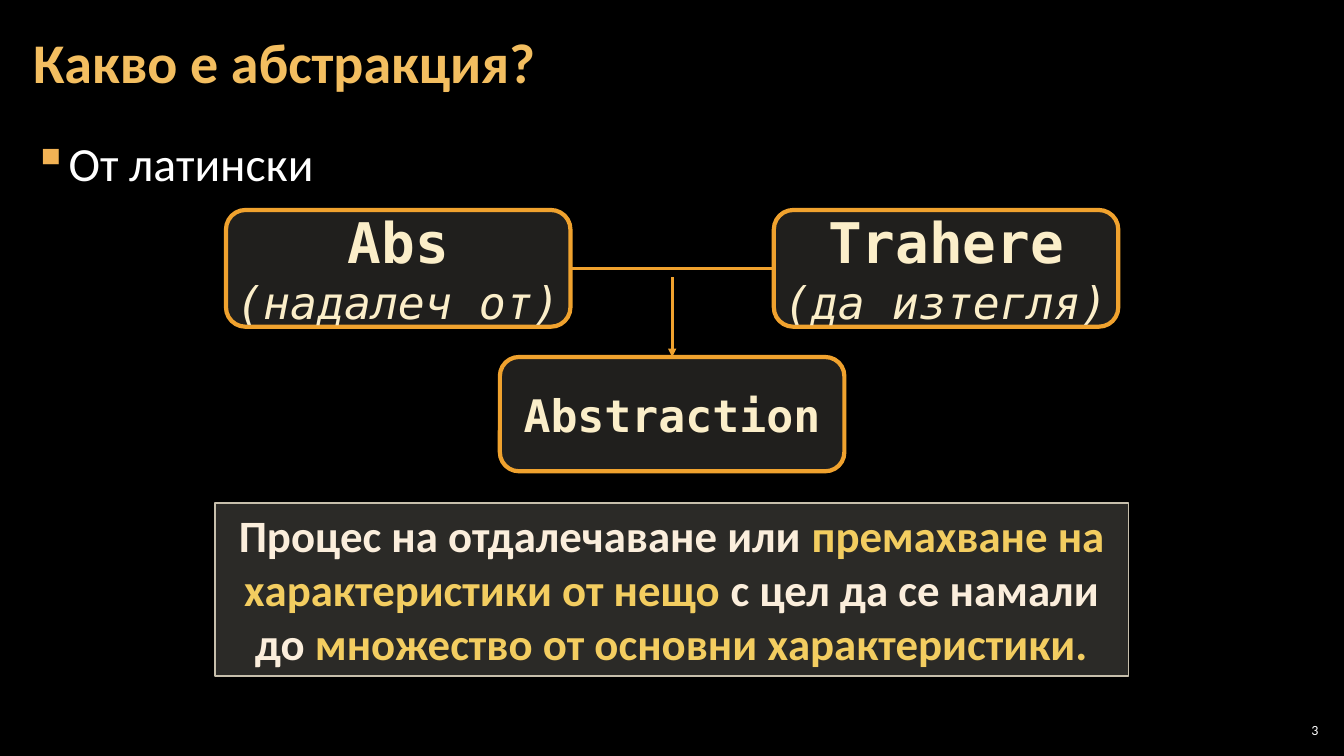
from lxml.etree import SubElement
from pptx import Presentation
from pptx.dml.color import RGBColor
from pptx.enum.shapes import MSO_CONNECTOR, MSO_SHAPE
from pptx.enum.text import MSO_ANCHOR, MSO_AUTO_SIZE, PP_ALIGN
from pptx.oxml.ns import qn
from pptx.util import Inches, Pt

HEX = {"back": "000000", "title": "F3BE60", "text": "FFFFFF", "bullet": "F2B254",
       "fill": "D9D5C7", "line": "F0A22E", "word": "FBEEC9",
       "edge": "C7BFAC", "plain": "FBEEDC", "key": "F3CD60"}
SANS, MONO = "Calibri", "DejaVu Sans Mono"

TITLE = "Какво е абстракция?"
POINT = "От латински"
NUMBER = "3"
# word, size, meaning, column step from the centre, top row, rows
WORDS = [
    ("Abs", 40, "(надалеч от)", -1, 25, 13.9),
    ("Trahere", 40, "(да изтегля)", 1, 25, 13.9),
    ("Abstraction", 32, None, 0, 42.5, 13.6),
]
MEANING = [
    ("Процес на отдалечаване или ", "plain"),
    ("премахване на характеристики от нещо ", "key"),
    ("с цел да се намали до ", "plain"),
    ("множество от основни характеристики.", "key"),
]

# The slide is a grid of 160 columns by 90 rows of square cells
WIDTH, HEIGHT = Inches(13.33), Inches(7.5)
CELL = HEIGHT / 90
MID, STEP, WIDE = 80, 32.6, 41


def grid(*cells):
    return [round(n * CELL) for n in cells]


def color(name):
    return RGBColor.from_string(HEX[name])


def write(para, text, size, name, font=SANS, bold=False, italic=False):
    run = para.add_run()
    run.text = text
    run.font.size, run.font.name = Pt(size), font
    run.font.bold, run.font.italic = bold, italic
    run.font.color.rgb = color(name)


def inset(frame, side, edge):
    frame.margin_left = frame.margin_right = Inches(side)
    frame.margin_top = frame.margin_bottom = Inches(edge)


def panel(kind, place, alpha, edge, weight):
    """Add a see-through panel with a solid outline."""
    shape = shapes.add_shape(kind, *grid(*place))
    shape.shadow.inherit = False
    shape.fill.solid()
    shape.fill.fore_color.rgb = color("fill")
    tint = shape.element.spPr.find(qn("a:solidFill"))[0]
    SubElement(tint, qn("a:alpha"), val=str(alpha * 1000))
    shape.line.color.rgb = color(edge)
    shape.line.width = Pt(weight)
    return shape


def link(start, end):
    line = shapes.add_connector(MSO_CONNECTOR.STRAIGHT, *grid(*start, *end))
    line.line.color.rgb = color("line")
    line.line.width = Pt(2)
    SubElement(line.element.spPr, qn("a:effectLst"))
    return line


deck = Presentation()
deck.slide_width, deck.slide_height = WIDTH, HEIGHT
slide = deck.slides.add_slide(deck.slide_layouts[5])
shapes = slide.shapes
slide.background.fill.solid()
slide.background.fill.fore_color.rgb = color("back")

title = shapes.title
title.left, title.top, title.width, title.height = grid(2.5, 0.5, 154.9, 14.5)
frame = title.text_frame
inset(frame, 0.12, 0.04)
frame.vertical_anchor = MSO_ANCHOR.MIDDLE
para = frame.paragraphs[0]
para.alignment, para.line_spacing = PP_ALIGN.LEFT, 0.9
write(para, TITLE, 40, "title", bold=True)

frame = shapes.add_textbox(*grid(2.5, 15.1, 154.9, 73.1)).text_frame
frame.word_wrap = True
inset(frame, 0.12, 0.04)
para = frame.paragraphs[0]
para.line_spacing, para.space_after = 1.05, Pt(6)
props = para._p.get_or_add_pPr()
props.set("marL", str(Inches(0.33)))
props.set("indent", str(-Inches(0.33)))
SubElement(SubElement(props, qn("a:buClr")), qn("a:srgbClr"), val=HEX["bullet"])
SubElement(props, qn("a:buChar"), char="▪")
write(para, POINT, 34, "text")

boxes = []
for word, size, gloss, step, top, rows in WORDS:
    left = MID + step * STEP - WIDE / 2
    box = panel(MSO_SHAPE.ROUNDED_RECTANGLE, (left, top, WIDE, rows), 15, "line", 3)
    frame = box.text_frame
    frame.word_wrap = False
    frame.vertical_anchor = MSO_ANCHOR.MIDDLE
    para = frame.paragraphs[0]
    para.alignment = PP_ALIGN.CENTER
    write(para, word, size, "word", MONO, bold=True)
    if gloss:
        para = frame.add_paragraph()
        para.alignment = PP_ALIGN.CENTER
        write(para, gloss, 32, "word", MONO, italic=True)
    boxes.append(box)

first, second, result = boxes
bar = link((59, 32), (92, 32))
bar.begin_connect(first, 3)
bar.end_connect(second, 1)
arrow = link((MID, 33), (MID, 42.5))
arrow.end_connect(result, 0)
SubElement(arrow.element.spPr.find(qn("a:ln")), qn("a:tailEnd"), type="triangle")

box = panel(MSO_SHAPE.RECTANGLE, (25.6, 59.9, 108.7, 20.6), 20, "edge", 1)
frame = box.text_frame
frame.word_wrap = True
frame.auto_size = MSO_AUTO_SIZE.SHAPE_TO_FIT_TEXT
frame.vertical_anchor = MSO_ANCHOR.TOP
para = frame.paragraphs[0]
para.alignment = PP_ALIGN.CENTER
for text, name in MEANING:
    write(para, text, 32, name, bold=True)

frame = shapes.add_textbox(*grid(151.8, 85.7, 5.6, 2.5)).text_frame
frame.word_wrap = True
inset(frame, 0.04, 0.04)
frame.vertical_anchor = MSO_ANCHOR.MIDDLE
para = frame.paragraphs[0]
para.alignment = PP_ALIGN.RIGHT
write(para, NUMBER, 10, "text")

deck.save("out.pptx")
